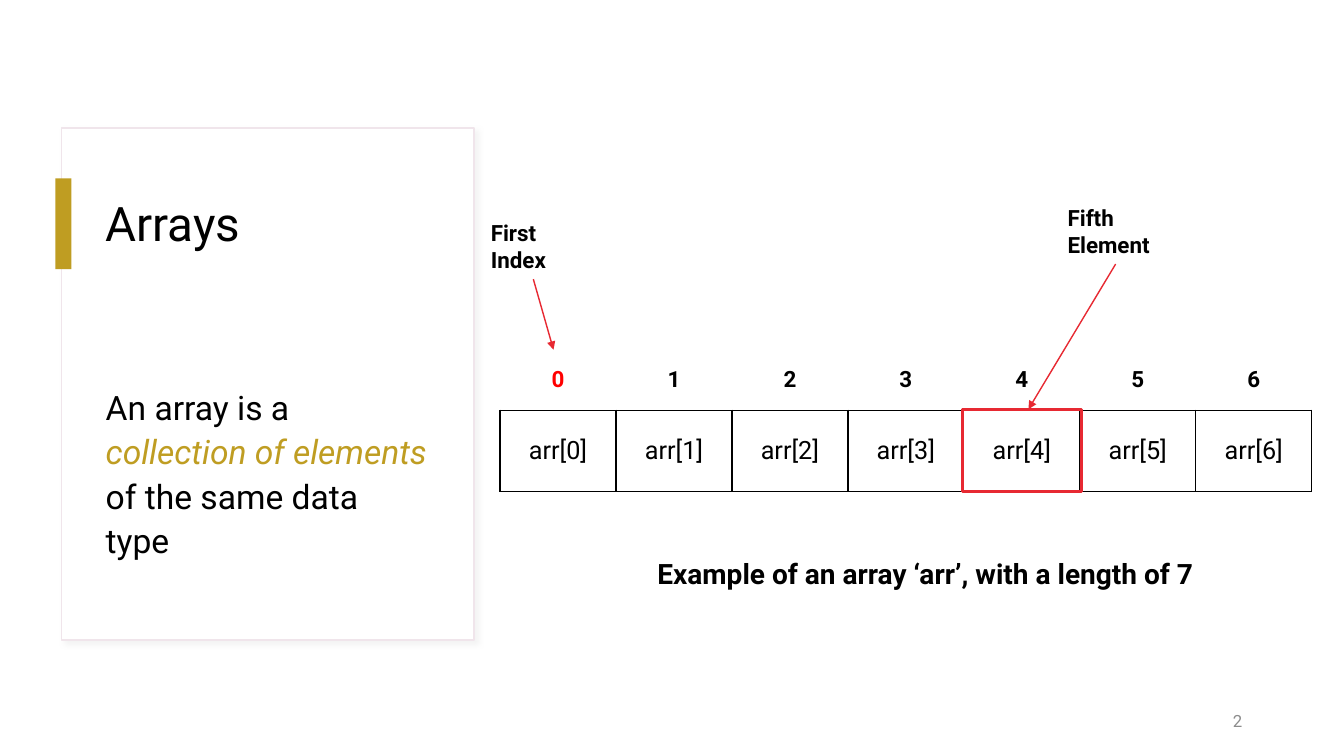
from lxml import etree
from pptx import Presentation
from pptx.dml.color import RGBColor as RGB
from pptx.enum.shapes import MSO_CONNECTOR as CONN, MSO_SHAPE as SHAPE
from pptx.enum.text import MSO_ANCHOR as ANCHOR, PP_ALIGN as ALIGN
from pptx.oxml import parse_xml
from pptx.oxml.ns import nsdecls, qn
from pptx.util import Inches, Pt

COLORS = {"white": "FFFFFF", "black": "000000", "gold": "BF9D22", "edge": "F0E5EB",
          "shadow": "D9D9D9", "arrow": "E72932", "red": "FF0000", "grey": "8C8C8C"}
color = {name: RGB.from_string(value) for name, value in COLORS.items()}


def style(p, size, name="black", bold=False, align=ALIGN.LEFT):
    p.alignment = align
    for r in p.runs:
        r.font.name, r.font.size, r.font.bold = "Roboto", Pt(size), bold
        r.font.color.rgb = color[name]


def add_text(x, y, w, h, text, size, **look):
    box = s.shapes.add_textbox(Inches(x), Inches(y), Inches(w), Inches(h))
    box.text_frame.word_wrap = True
    p = box.text_frame.paragraphs[0]
    p.text = text
    style(p, size, **look)
    return box


prs = Presentation()
prs.slide_width, prs.slide_height = Inches(13.33), Inches(7.5)
s = prs.slides.add_slide(prs.slide_layouts[6])

# Card with a soft shadow and a gold accent
card = s.shapes.add_shape(SHAPE.RECTANGLE, Inches(0.61), Inches(1.27), Inches(4.09), Inches(5.08))
card.shadow.inherit = False
card.fill.solid()
card.fill.fore_color.rgb = color["white"]
card.line.color.rgb = color["edge"]
card.line.width = Pt(1)
effects = card._element.spPr.find(qn("a:effectLst"))
effects.append(parse_xml(
    f'<a:outerShdw {nsdecls("a")} blurRad="{Pt(4)}" dist="{Pt(3)}" dir="2700000">'
    f'<a:srgbClr val="{COLORS["shadow"]}"><a:alpha val="30000"/></a:srgbClr></a:outerShdw>'))

accent = s.shapes.add_shape(SHAPE.RECTANGLE, Inches(0.55), Inches(1.77), Inches(0.16), Inches(0.9))
accent.shadow.inherit = False
accent.fill.solid()
accent.fill.fore_color.rgb = color["gold"]
accent.line.fill.background()

# Title and definition
add_text(0.95, 1.87, 3.39, 1.87, "Arrays", 34)
definition = add_text(0.95, 3.75, 3.39, 2.26, "An array is a ", 24)
p = definition.text_frame.paragraphs[0]
p.line_spacing, p.space_before = 1.1, Pt(10)
for text in ("collection of elements", " of the same data type"):
    p.add_run().text = text
style(p, 24)
p.runs[1].font.italic = True
p.runs[1].font.color.rgb = color["gold"]

# Array table: indexes above, elements below
LENGTH = 7
table = s.shapes.add_table(2, LENGTH, Inches(4.96), Inches(3.47), Inches(8.06), Inches(1.41)).table
table.horz_banding = False
table.rows[0].height, table.rows[1].height = Inches(0.6), Inches(0.81)
for i in range(LENGTH):
    table.columns[i].width = Inches(1.15)
    for row, (text, size, sides) in enumerate([(str(i), 16, "B"), (f"arr[{i}]", 18, "LRTB")]):
        cell = table.cell(row, i)
        cell.vertical_anchor = ANCHOR.MIDDLE
        p = cell.text_frame.paragraphs[0]
        p.text = text
        style(p, size, "red" if text == "0" else "black", row == 0, ALIGN.CENTER)
        for side in sides:
            cell._tc.get_or_add_tcPr().append(parse_xml(
                f'<a:ln{side} {nsdecls("a")} w="{Pt(1)}"><a:solidFill>'
                f'<a:srgbClr val="{COLORS["black"]}"/></a:solidFill></a:ln{side}>'))
        cell.fill.solid()
        cell.fill.fore_color.rgb = color["white"]

# Labels with arrows into the array
for x, y, w, text, end_x, end_y in [(4.77, 2.13, 1.04, "First Index", 5.49, 3.47),
                                    (10.49, 1.98, 1.15, "Fifth Element", 10.2, 4.06)]:
    label = add_text(x, y, w, 0.64, text, 16, bold=True)
    arrow = s.shapes.add_connector(CONN.STRAIGHT, Inches(x + w / 2), Inches(y + 0.64),
                                   Inches(end_x), Inches(end_y))
    arrow.begin_connect(label, 2)
    arrow.line.color.rgb = color["arrow"]
    arrow.line.width = Pt(1)
    etree.SubElement(arrow.line._get_or_add_ln(), qn("a:tailEnd"), type="triangle")
    etree.SubElement(arrow._element.spPr, qn("a:effectLst"))

# Frame around the fifth element
frame = s.shapes.add_shape(SHAPE.RECTANGLE, Inches(9.55), Inches(4.06), Inches(1.18), Inches(0.82))
frame.shadow.inherit = False
frame.fill.background()
frame.line.color.rgb = color["arrow"]
frame.line.width = Pt(2)

# Caption and page number
add_text(5.97, 5.47, 6.42, 0.44, "Example of an array ‘arr’, with a length of 7", 20,
         bold=True, align=ALIGN.CENTER)
number = add_text(9.42, 6.95, 3, 0.4, "2", 12, name="grey", align=ALIGN.RIGHT)
number.text_frame.vertical_anchor = ANCHOR.MIDDLE

prs.save("out.pptx")
